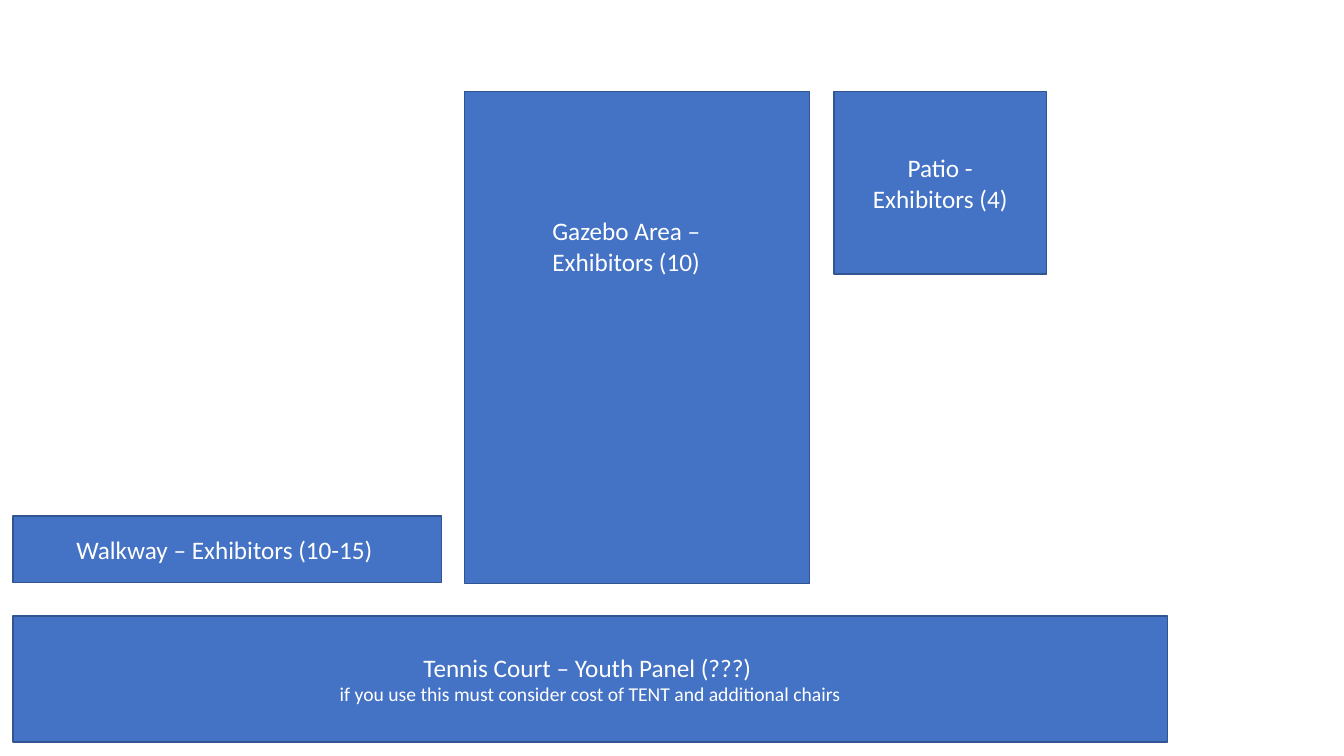
from pptx import Presentation
from pptx.dml.color import RGBColor
from pptx.enum import shapes, text
from pptx.util import Inches, Pt

COLORS = {"area": "4472C4", "outline": "325491", "label": "FFFFFF"}
FONT = "Calibri"


def color(name):
    return RGBColor.from_string(COLORS[name])


def write(frame, lines, align=text.PP_ALIGN.CENTER, anchor=text.MSO_ANCHOR.MIDDLE, wrap=True):
    """Fill a text frame with (wording, point size) lines."""
    frame.word_wrap = wrap
    frame.vertical_anchor = anchor
    for index, (wording, size) in enumerate(lines):
        paragraph = frame.paragraphs[0] if index == 0 else frame.add_paragraph()
        paragraph.alignment = align
        run = paragraph.add_run()
        run.text = wording
        run.font.name = FONT
        run.font.size = Pt(size)
        run.font.color.rgb = color("label")


def add_area(slide, box, lines=()):
    """Draw one area of the venue, with its label centred."""
    area = slide.shapes.add_shape(shapes.MSO_SHAPE.RECTANGLE, *map(Inches, box))
    area.shadow.inherit = False
    area.fill.solid()
    area.fill.fore_color.rgb = color("area")
    area.line.color.rgb = color("outline")
    area.line.width = Pt(1)
    write(area.text_frame, lines)


def add_gazebo(slide, box):
    """Draw the gazebo area with a left-aligned label in its upper part."""
    add_area(slide, box)
    left, top, _, _ = box
    label = slide.shapes.add_textbox(
        Inches(left + 0.77), Inches(top + 1.18), Inches(1.75), Inches(0.71))
    write(label.text_frame, [("Gazebo Area – ", 18), ("Exhibitors (10) ", 18)],
          align=text.PP_ALIGN.LEFT, anchor=text.MSO_ANCHOR.TOP, wrap=False)
    label.text_frame.auto_size = text.MSO_AUTO_SIZE.SHAPE_TO_FIT_TEXT


def build_venue_map(slide):
    left, top = 0.13, 0.91
    add_gazebo(slide, (4.61, top, 3.42, 4.88))
    # Walkway
    add_area(slide, (left, 5.12, 4.25, 0.66), [("Walkway – Exhibitors (10-15) ", 18)])
    # Patio
    add_area(slide, (8.27, top, 2.11, 1.81), [("Patio -", 18), ("Exhibitors (4)", 18)])
    # Tennis court
    add_area(slide, (left, 6.11, 11.45, 1.25), [
        ("Tennis Court – Youth Panel (???) ", 18),
        ("if you use this must consider cost of TENT and additional chairs", 14)])


deck = Presentation()
deck.slide_width, deck.slide_height = Inches(13.33), Inches(7.5)
build_venue_map(deck.slides.add_slide(deck.slide_layouts[6]))
deck.save("out.pptx")
